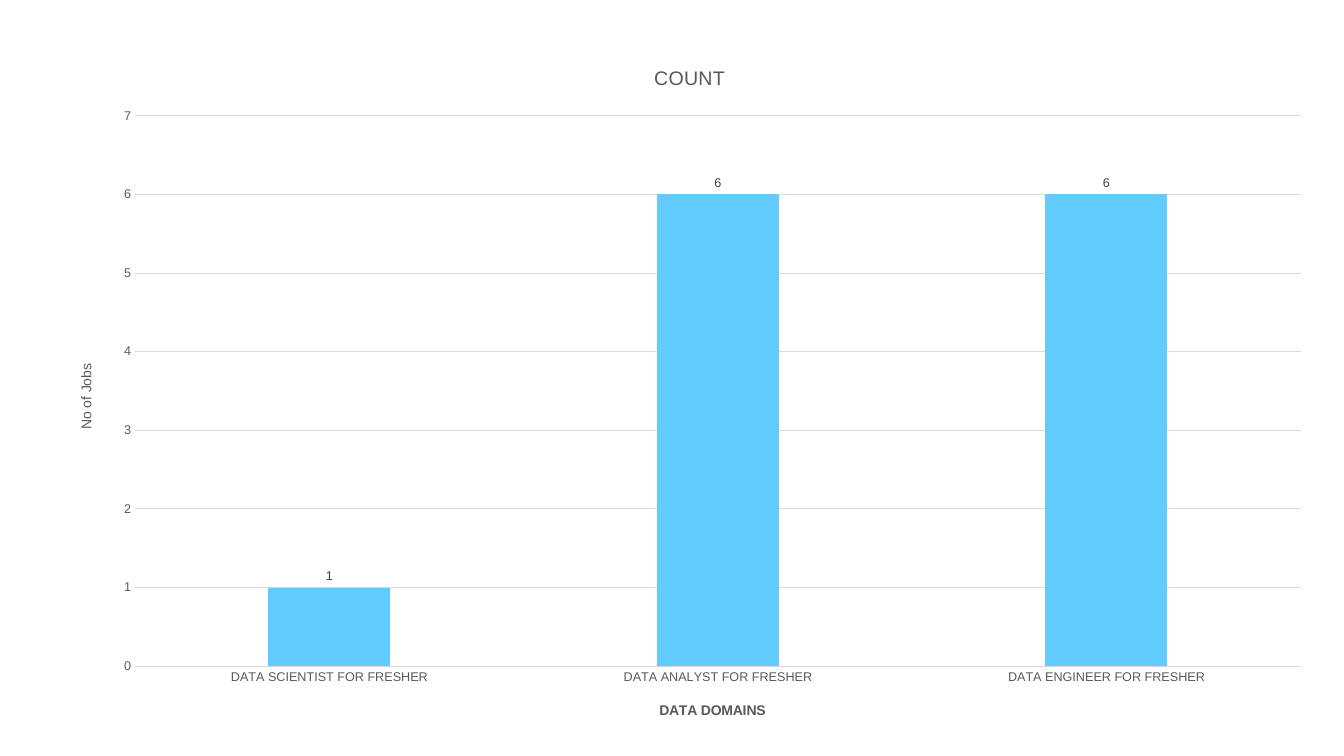
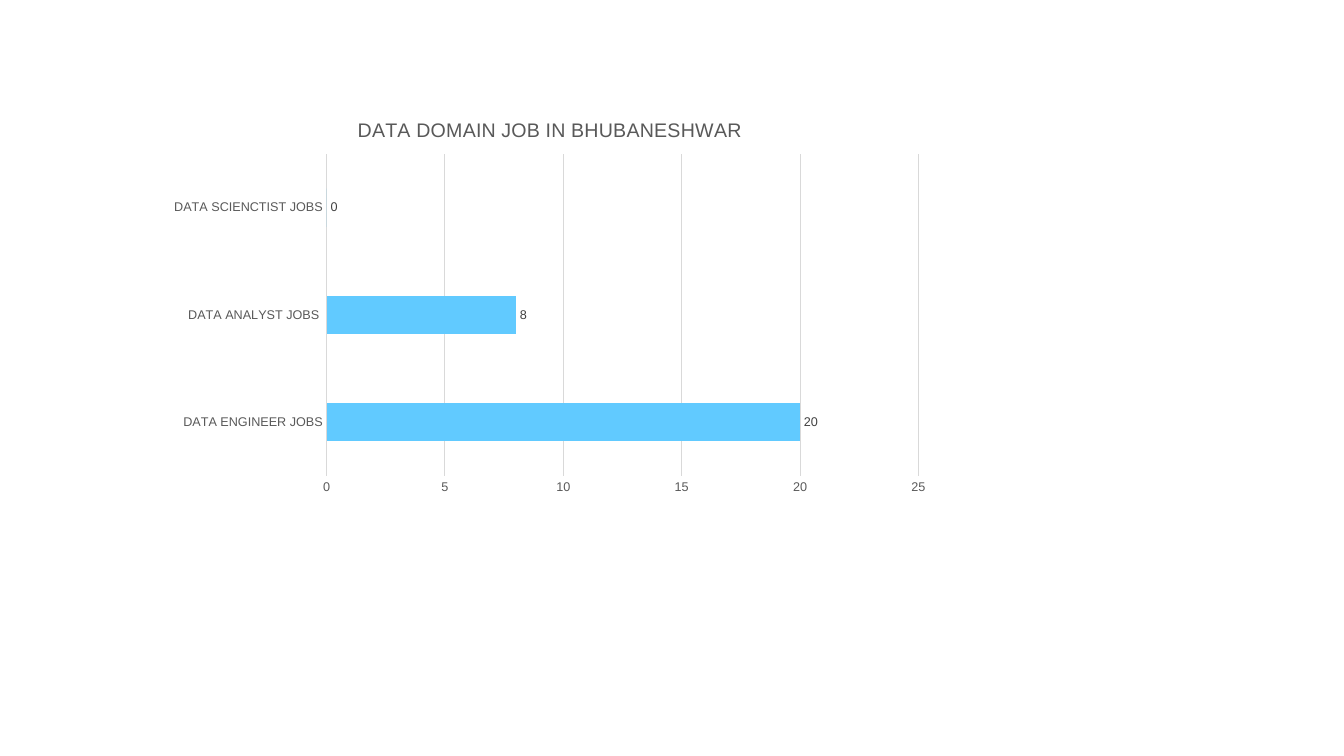
from dataclasses import dataclass
from typing import Any

from pptx import Presentation
from pptx.chart.chart import Chart
from pptx.chart.data import CategoryChartData
from pptx.dml.color import RGBColor
from pptx.enum.chart import XL_CHART_TYPE, XL_LABEL_POSITION, XL_TICK_MARK
from pptx.oxml import parse_xml
from pptx.oxml.ns import nsdecls
from pptx.slide import Slide
from pptx.util import Emu, Pt

SCALE = 9144
WIDE, HIGH = 1333, 750
BLANK = 6

BLACK = RGBColor(0x00, 0x00, 0x00)
GRAY = RGBColor(0x59, 0x59, 0x59)
DARK = RGBColor(0x40, 0x40, 0x40)
PALE = RGBColor(0xD9, 0xD9, 0xD9)
BLUE = RGBColor(0x61, 0xCA, 0xFF)

BASE = {"name": "Arial", "size": Pt(10), "bold": False, "color": BLACK}
HEAD = BASE | {"size": Pt(14), "color": GRAY}
NAME = BASE | {"color": GRAY}
TICK = NAME | {"size": Pt(9)}
LABEL = TICK | {"color": DARK}


@dataclass(frozen=True)
class Box:
    left: int
    top: int
    width: int
    height: int


@dataclass(frozen=True)
class Graph:
    kind: XL_CHART_TYPE
    frame: Box
    plot: Box
    title: str
    series: str
    data: dict[str, int]
    top: int
    step: int
    gap: int
    lap: int = 0
    across: str = ""
    up: str = ""


GRAPHS = (
    Graph(
        XL_CHART_TYPE.COLUMN_CLUSTERED,
        Box(54, 42, 1260, 694),
        Box(134, 115, 1156, 546),
        "COUNT",
        "COUNT",
        {
            "DATA SCIENTIST FOR FRESHER": 1,
            "DATA ANALYST FOR FRESHER": 6,
            "DATA ENGINEER FOR FRESHER": 6,
        },
        top=7, step=1, gap=219, lap=-27,
        across="DATA DOMAINS", up="No of Jobs",
    ),
    Graph(
        XL_CHART_TYPE.BAR_CLUSTERED,
        Box(158, 100, 775, 400),
        Box(324, 153, 587, 319),
        "DATA DOMAIN JOB IN BHUBANESHWAR",
        "Series 1",
        {
            "DATA ENGINEER JOBS": 20,
            "DATA ANALYST JOBS ": 8,
            "DATA SCIENCTIST JOBS": 0,
        },
        top=25, step=5, gap=182,
    ),
)


def px(count: int) -> Emu:
    return Emu(count * SCALE)


def apply(item: Any, values: dict[str, Any]) -> None:
    for key, value in values.items():
        if key == "color":
            item.color.rgb = value
        else:
            setattr(item, key, value)


def write(title: Any, text: str, style: dict[str, Any]) -> None:
    part = title.text_frame.paragraphs[0]
    part.text = text
    for font in (part.font, part.runs[0].font):
        apply(font, style)


def place(chart: Chart, frame: Box, plot: Box) -> None:
    area = chart.element.xpath("c:chart/c:plotArea")[0]
    for old in area.xpath("c:layout"):
        area.remove(old)
    sizes = {
        "x": (plot.left - frame.left) / frame.width,
        "y": (plot.top - frame.top) / frame.height,
        "w": plot.width / frame.width,
        "h": plot.height / frame.height,
    }
    modes = "".join(f'<c:{key}Mode val="edge"/>' for key in "xy")
    parts = "".join(f'<c:{key} val="{size:.4f}"/>' for key, size in sizes.items())
    area.insert(0, parse_xml(
        f'<c:layout {nsdecls("c")}><c:manualLayout><c:layoutTarget val="inner"/>'
        f"{modes}{parts}</c:manualLayout></c:layout>"
    ))


def style(axis: Any, name: str, bold: bool) -> None:
    apply(axis, {"major_tick_mark": XL_TICK_MARK.NONE, "minor_tick_mark": XL_TICK_MARK.NONE})
    apply(axis.tick_labels.font, TICK)
    axis.has_title = bool(name)
    if name:
        write(axis.axis_title, name, NAME | {"bold": bold})


def draw(slide: Slide, graph: Graph) -> None:
    data = CategoryChartData()
    data.categories = list(graph.data)
    data.add_series(graph.series, list(graph.data.values()))
    box = graph.frame
    sides = map(px, (box.left, box.top, box.width, box.height))
    chart = slide.shapes.add_chart(graph.kind, *sides, data).chart
    apply(chart, {"has_legend": False, "has_title": True})
    apply(chart.font, BASE)
    write(chart.chart_title, graph.title, HEAD)
    place(chart, box, graph.plot)

    base, scale = chart.category_axis, chart.value_axis
    style(base, graph.across, True)
    style(scale, graph.up, False)
    apply(scale, {
        "minimum_scale": 0,
        "maximum_scale": graph.top,
        "major_unit": graph.step,
        "has_major_gridlines": True,
    })
    scale.format.line.fill.background()
    for line in (base.format.line, scale.major_gridlines.format.line):
        apply(line, {"color": PALE, "width": Pt(0.75)})

    plot = chart.plots[0]
    apply(plot, {
        "gap_width": graph.gap,
        "overlap": graph.lap,
        "vary_by_categories": False,
        "has_data_labels": True,
    })
    apply(plot.data_labels, {"show_value": True, "position": XL_LABEL_POSITION.OUTSIDE_END})
    apply(plot.data_labels.font, LABEL)
    bars = plot.series[0]
    bars.invert_if_negative = False
    bars.format.fill.solid()
    bars.format.fill.fore_color.rgb = BLUE


def main() -> None:
    deck = Presentation()
    apply(deck, {"slide_width": px(WIDE), "slide_height": px(HIGH)})
    for graph in GRAPHS:
        draw(deck.slides.add_slide(deck.slide_layouts[BLANK]), graph)
    deck.save("out.pptx")


if __name__ == "__main__":
    main()
